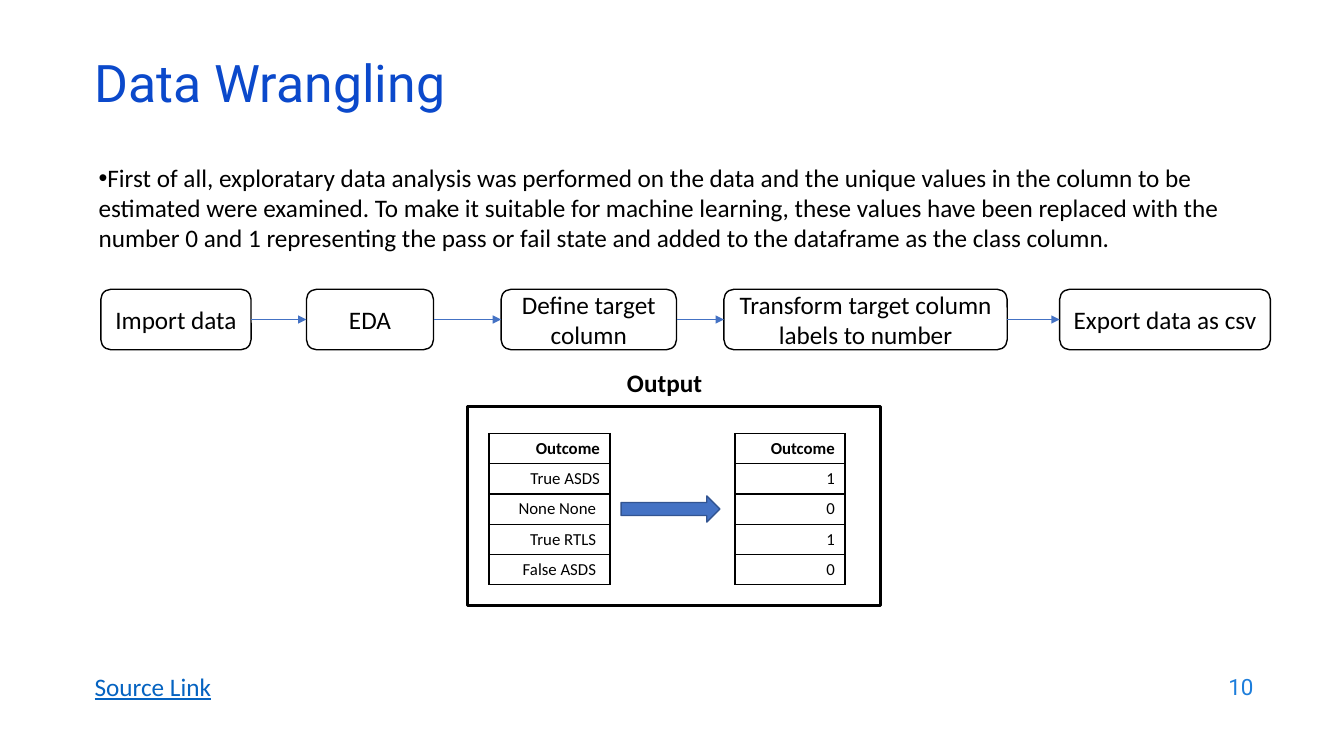
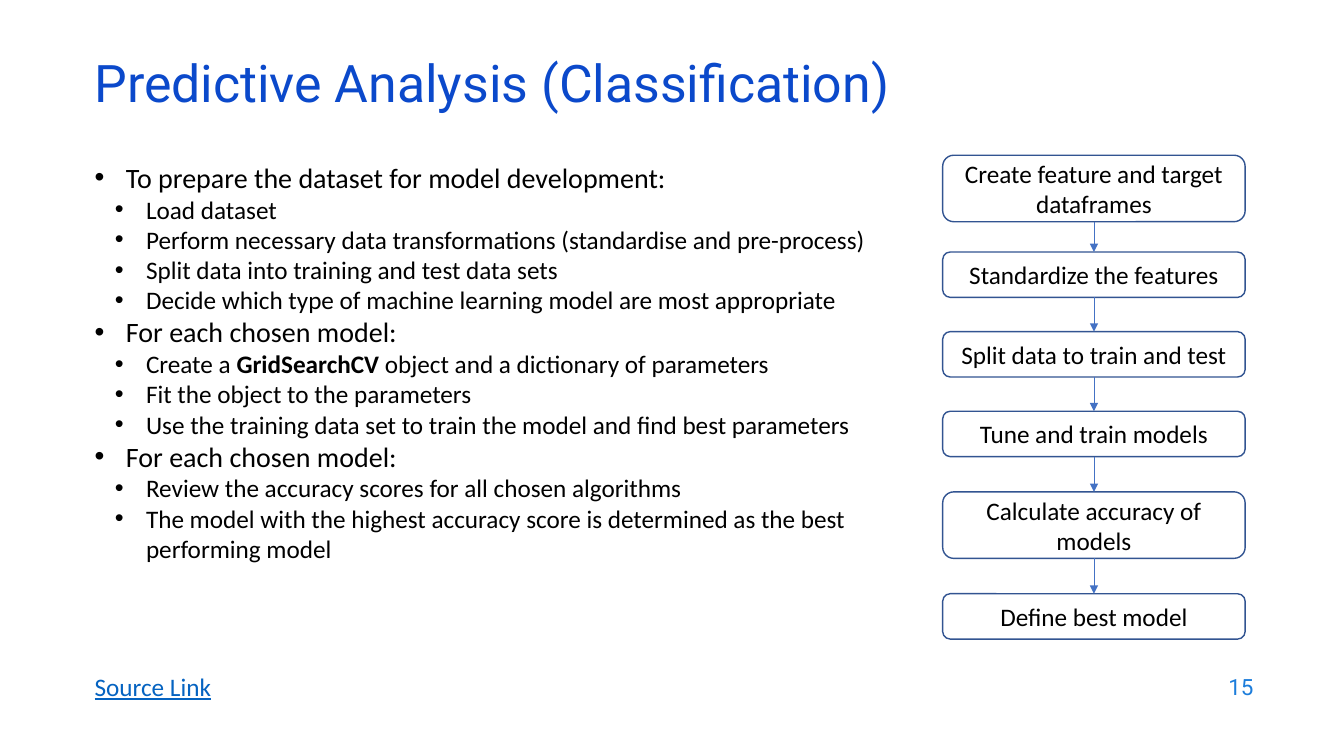
from itertools import pairwise

from lxml.etree import SubElement
from pptx import Presentation
from pptx.dml.color import RGBColor
from pptx.enum.shapes import MSO_CONNECTOR, MSO_SHAPE
from pptx.enum.text import MSO_ANCHOR, PP_ALIGN
from pptx.oxml.ns import qn
from pptx.util import Pt

PX = 9144  # EMU per px, 100 px to the inch
COLOURS = {
    "paper": "FFFFFF",
    "ink": "000000",
    "title": "0B49CB",
    "number": "1C7DDB",
    "link": "0563C1",
    "accent": "4472C4",
    "edge": "325491",
}
BODY_FONT, HEAD_FONT = "Calibri", "Roboto"
TOP, LEFT, BOTTOM, RIGHT = range(4)  # connection sites


def colour(name):
    return RGBColor.from_string(COLOURS[name])


def px(*lengths):
    return [length * PX for length in lengths]


class SlideBuilder:
    """Holds the shared style and the slide being filled."""

    def __init__(self):
        self.deck = Presentation()
        self.deck.slide_width, self.deck.slide_height = px(1333, 750)
        self.page = None

    # Slide frame: title, link and page number
    def start(self, title, number):
        self.page = self.deck.slides.add_slide(self.deck.slide_layouts[6])
        box = self.text(title, (84, 59, 1150, 60), 37, "title", HEAD_FONT,
                        anchor=MSO_ANCHOR.MIDDLE)
        box.text_frame.paragraphs[0].line_spacing = 0.7
        self.text("Source Link", (84, 661, 140, 40), 18, "link",
                  wrap=False, underline=True)
        self.text(number, (953, 659, 300, 44), 16, "number", HEAD_FONT,
                  align=PP_ALIGN.RIGHT, anchor=MSO_ANCHOR.MIDDLE)

    # Text
    def style(self, para, size, ink="ink", font=BODY_FONT, align=None, **flags):
        para.alignment = align
        for span in para.runs:
            span.font.size = Pt(size)
            span.font.name = font
            span.font.color.rgb = colour(ink)
            for flag, value in flags.items():
                setattr(span.font, flag, value)

    def text(self, words, place, size, ink="ink", font=BODY_FONT, align=None,
             anchor=MSO_ANCHOR.TOP, wrap=True, **flags):
        box = self.page.shapes.add_textbox(*px(*place))
        frame = box.text_frame
        frame.word_wrap = wrap
        frame.vertical_anchor = anchor
        frame.text = words
        self.style(frame.paragraphs[0], size, ink, font, align, **flags)
        return box

    def bullet(self, para, margin, indent):
        props = para._p.get_or_add_pPr()
        props.set("marL", str(margin * PX))
        props.set("indent", str(indent * PX))
        SubElement(props, qn("a:buFont"), typeface="Arial")
        SubElement(props, qn("a:buChar"), char="•")

    def outline(self, items, place):
        """Two-level list; words between asterisks are bold."""
        box = self.page.shapes.add_textbox(*px(*place))
        frame = box.text_frame
        frame.word_wrap = True
        for index, (level, words) in enumerate(items):
            para = frame.add_paragraph() if index else frame.paragraphs[0]
            para.level = level
            self.bullet(para, 31 + 20 * level, -31)
            for part in words.split("*"):
                para.add_run().text = part
            self.style(para, 20 - 2 * level)
            for span in para.runs[1::2]:
                span.font.bold = True

    # Shapes and arrows
    def shape(self, kind, place, fill="paper", line="ink", width=1, words=""):
        box = self.page.shapes.add_shape(kind, *px(*place))
        box.shadow.inherit = False
        box.fill.solid()
        box.fill.fore_color.rgb = colour(fill)
        box.line.color.rgb = colour(line)
        box.line.width = Pt(width)
        if words:
            frame = box.text_frame
            frame.word_wrap = True
            frame.vertical_anchor = MSO_ANCHOR.MIDDLE
            frame.text = words
            self.style(frame.paragraphs[0], 18, align=PP_ALIGN.CENTER)
        return box

    def arrow(self, source, source_side, target, target_side):
        line = self.page.shapes.add_connector(MSO_CONNECTOR.STRAIGHT, 0, 0, 0, 0)
        line.begin_connect(source, source_side)
        line.end_connect(target, target_side)
        line.line.color.rgb = colour("accent")
        line.line.width = Pt(0.5)
        SubElement(line.line._get_or_add_ln(), qn("a:tailEnd"), type="triangle")
        SubElement(line._element.spPr, qn("a:effectLst"))

    def flow(self, steps, line, sides):
        boxes = [self.shape(MSO_SHAPE.ROUNDED_RECTANGLE, place, line=line, words=words)
                 for words, place in steps]
        for source, target in pairwise(boxes):
            self.arrow(source, sides[0], target, sides[1])

    # Table with one column
    def column(self, values, place):
        table = self.page.shapes.add_table(len(values), 1, *px(*place)).table
        table.first_row = table.horz_banding = False
        for row, value in enumerate(values):
            cell = table.cell(row, 0)
            cell.text = value
            cell.vertical_anchor = MSO_ANCHOR.MIDDLE
            self.style(cell.text_frame.paragraphs[0], 12,
                       align=PP_ALIGN.RIGHT, bold=row == 0)
            props = cell._tc.get_or_add_tcPr()
            for side in ("lnL", "lnR", "lnT", "lnB"):
                edge = SubElement(props, qn(f"a:{side}"), w=str(Pt(1)))
                fill = SubElement(edge, qn("a:solidFill"))
                SubElement(fill, qn("a:srgbClr"), val=COLOURS["ink"])
            cell.fill.solid()
            cell.fill.fore_color.rgb = colour("paper")


def data_wrangling(builder):
    builder.start("Data Wrangling", "10")
    intro = builder.text(
        "First of all, exploratary data analysis was performed on the data and the "
        "unique values in the column to be estimated were examined. To make it suitable "
        "for machine learning, these values have been replaced with the number 0 and 1 "
        "representing the pass or fail state and added to the dataframe as the class "
        "column.", (88, 156, 1165, 138), 18)
    builder.bullet(intro.text_frame.paragraphs[0], 0, 0)

    # Process from left to right
    steps = [
        ("Import data", 100, 149),
        ("EDA", 304, 126),
        ("Define target column", 497, 174),
        ("Transform target column labels to number", 718, 281),
        ("Export data as csv", 1051, 209),
    ]
    builder.flow([(words, (left, 287, width, 60)) for words, left, width in steps],
                 "ink", (RIGHT, LEFT))

    # Output before and after
    builder.text("Output", (612, 359, 95, 40), 18, wrap=False, bold=True)
    builder.shape(MSO_SHAPE.RECTANGLE, (464, 403, 409, 198), width=2.25)
    builder.column(["Outcome", "True ASDS", "None None ", "True RTLS ", "False ASDS "],
                   (485, 430, 120, 150))
    builder.column(["Outcome", "1", "0", "1", "0"], (729, 430, 109, 150))
    builder.shape(MSO_SHAPE.RIGHT_ARROW, (616, 492, 98, 26), "accent", "edge")


def predictive_analysis(builder):
    builder.start("Predictive Analysis (Classification)", "15")
    builder.outline([
        (0, "To prepare the dataset for model development:"),
        (1, "Load dataset"),
        (1, "Perform necessary data transformations (standardise and pre-process)"),
        (1, "Split data into training and test data sets"),
        (1, "Decide which type of machine learning model are most appropriate"),
        (0, "For each chosen model:"),
        (1, "Create a *GridSearchCV *object and a dictionary of parameters"),
        (1, "Fit the object to the parameters"),
        (1, "Use the training data set to train the model and find best parameters"),
        (0, "For each chosen model:"),
        (1, "Review the accuracy scores for all chosen algorithms"),
        (1, "The model with the highest accuracy score is determined as the best "
            "performing model"),
    ], (84, 154, 831, 441))

    # Process from top to bottom
    steps = [
        ("Create feature and target dataframes", 154, 66),
        ("Standardize the features", 250, 45),
        ("Split data to train and test", 329, 45),
        ("Tune and train models", 408, 45),
        ("Calculate accuracy of models", 488, 66),
        ("Define best model", 589, 45),
    ]
    builder.flow([(words, (935, top, 300, height)) for words, top, height in steps],
                 "edge", (BOTTOM, TOP))


def main():
    builder = SlideBuilder()
    data_wrangling(builder)
    predictive_analysis(builder)
    builder.deck.save("out.pptx")


if __name__ == "__main__":
    main()
